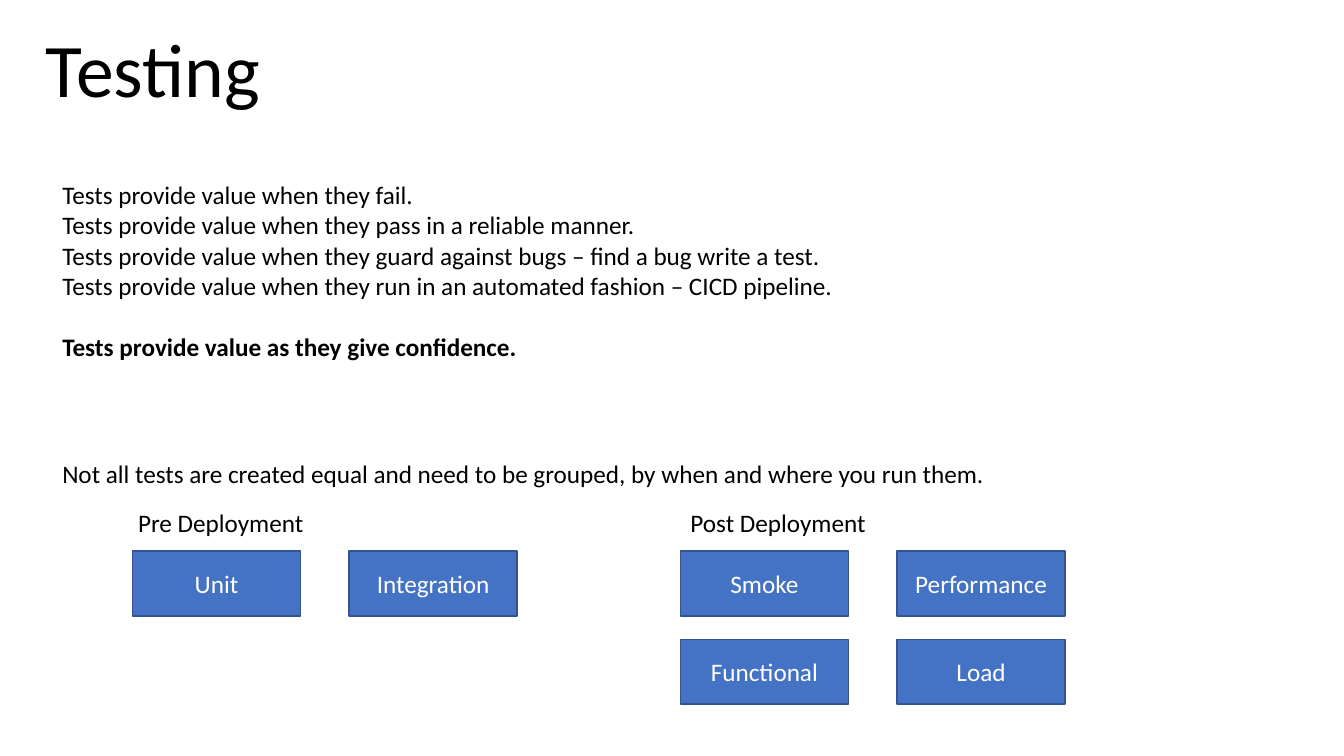
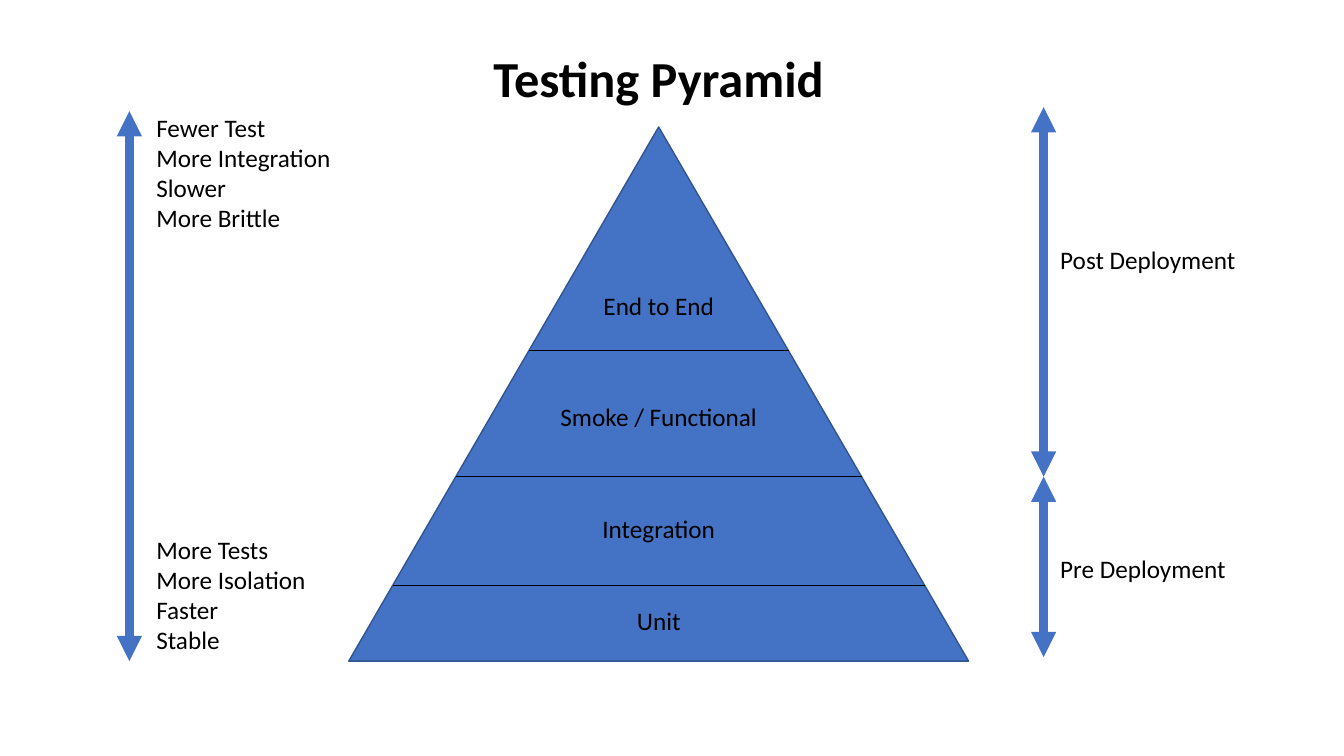
from lxml.etree import SubElement
from pptx import Presentation
from pptx.dml.color import RGBColor
from pptx.enum.shapes import MSO_CONNECTOR as Connector, MSO_SHAPE as Shape
from pptx.enum.text import MSO_ANCHOR as Anchor, MSO_AUTO_SIZE as AutoSize, PP_ALIGN as Align
from pptx.oxml.ns import qn
from pptx.util import Cm, Pt

FONT = "Calibri"
BLUE, OUTLINE, BLACK, WHITE = "4472C4", "325491", "000000", "FFFFFF"
BODY_SIZE = 18
LABEL_HEIGHT = 1.03


def color(value):
    """Turn a hex string into a colour."""
    return RGBColor.from_string(value)


class Board:
    """Holds the shared style and the current page; lengths are in cm."""

    def __init__(self):
        """Start a widescreen deck."""
        self.deck = Presentation()
        self.deck.slide_width, self.deck.slide_height = Cm(33.87), Cm(19.05)

    def new_page(self):
        """Add a blank page and make it current."""
        self.page = self.deck.slides.add_slide(self.deck.slide_layouts[6])

    def set_lines(self, frame, lines, size=BODY_SIZE, ink=BLACK, bold=False, align=Align.LEFT):
        """Fill a text frame, one paragraph for each line."""
        frame.word_wrap = True
        for index, line in enumerate(lines):
            para = frame.add_paragraph() if index else frame.paragraphs[0]
            para.text, para.alignment = line, align
            para.font.name, para.font.size = FONT, Pt(size)
            para.font.bold, para.font.color.rgb = bold, color(ink)

    def text(self, left, top, width, height, *lines, **style):
        """Add a text box and return its frame."""
        box = self.page.shapes.add_textbox(Cm(left), Cm(top), Cm(width), Cm(height))
        self.set_lines(box.text_frame, lines, **style)
        box.text_frame.auto_size = AutoSize.SHAPE_TO_FIT_TEXT
        return box.text_frame

    def shape(self, kind, left, top, width, height, label=None):
        """Add a blue outlined shape, with a centred label if given."""
        shape = self.page.shapes.add_shape(kind, Cm(left), Cm(top), Cm(width), Cm(height))
        shape.shadow.inherit = False
        shape.fill.solid()
        shape.fill.fore_color.rgb = color(BLUE)
        shape.line.color.rgb, shape.line.width = color(OUTLINE), Pt(1)
        if label:
            shape.text_frame.vertical_anchor = Anchor.MIDDLE
            self.set_lines(shape.text_frame, [label], ink=WHITE, align=Align.CENTER)

    def line(self, start, end, ink=BLACK, width=0.5):
        """Add a straight line between two points."""
        line = self.page.shapes.add_connector(Connector.STRAIGHT, *map(Cm, start + end))
        line.line.color.rgb, line.line.width = color(ink), Pt(width)
        SubElement(line._element.spPr, qn("a:effectLst"))
        return line

    def span_arrow(self, x, top, bottom):
        """Add a thick vertical arrow with a head at both ends."""
        arrow = self.line((x, top), (x, bottom), BLUE, 6)
        outline = arrow._element.spPr.find(qn("a:ln"))
        for end in ("a:headEnd", "a:tailEnd"):
            SubElement(outline, qn(end), type="triangle")


def build_testing(board):
    """Why tests matter, and the two groups of tests."""
    board.new_page()
    reasons = board.text(
        1.32, 4.4, 20.2, 5.64,
        "Tests provide value when they fail.",
        "Tests provide value when they pass in a reliable manner.",
        "Tests provide value when they guard against bugs – find a bug write a test.",
        "Tests provide value when they run in an automated fashion – CICD pipeline.",
        "Tests provide value as they give confidence.")
    conclusion = reasons.paragraphs[-1]
    conclusion.font.bold, conclusion.space_before = True, Pt(22)
    board.text(1.32, 11.43, 28.65, LABEL_HEIGHT,
               "Not all tests are created equal and need to be grouped, by when and where you run them.")
    board.text(0.91, 0.43, 6, 2.57, "Testing", size=54)

    groups = [
        ("Pre Deployment", 3.23, 3.34, [["Unit", "Integration"]]),
        ("Post Deployment", 17.15, 17.15, [["Smoke", "Performance"], ["Functional", "Load"]]),
    ]
    for heading, heading_left, left, rows in groups:
        board.text(heading_left, 12.66, 5, LABEL_HEIGHT, heading)
        for row, labels in enumerate(rows):
            for column, label in enumerate(labels):
                board.shape(Shape.RECTANGLE, left + 5.46 * column, 13.89 + 2.22 * row,
                            4.23, 1.63, label)


def build_pyramid(board):
    """The testing pyramid with its levels and ranges."""
    board.new_page()
    left, top, width, height = 8.79, 3.2, 15.62, 13.46
    center, bottom = left + width / 2, top + height
    deployment = 12.01
    board.shape(Shape.ISOSCELES_TRIANGLE, left, top, width, height)
    levels = [("End to End", 7.18), ("Smoke / Functional", 9.99),
              ("Integration", 12.81), ("Unit", 15.12)]
    for label, label_top in levels:
        board.text(left, label_top, width, LABEL_HEIGHT, label, align=Align.CENTER)
    for y in (8.84, deployment, 14.76):
        reach = width / 2 * (y - top) / height
        board.line((center - reach, y), (center + reach, y))
    board.text(left, 1.07, width, 1.8, "Testing Pyramid", size=36, bold=True, align=Align.CENTER)

    board.span_arrow(3.26, 2.8, bottom)
    board.text(3.69, 2.7, 6.45, 3.33, "Fewer Test", "More Integration", "Slower", "More Brittle")
    board.text(3.69, 13.33, 4.67, 3.33, "More Tests", "More Isolation", "Faster", "Stable")

    phases = [("Post Deployment", 2.7, deployment, 6.02),
              ("Pre Deployment", deployment, 16.56, 13.82)]
    for label, start, end, label_top in phases:
        board.span_arrow(26.3, start, end)
        board.text(26.47, label_top, 6.45, LABEL_HEIGHT, label)


board = Board()
build_testing(board)
build_pyramid(board)
board.deck.save("out.pptx")
